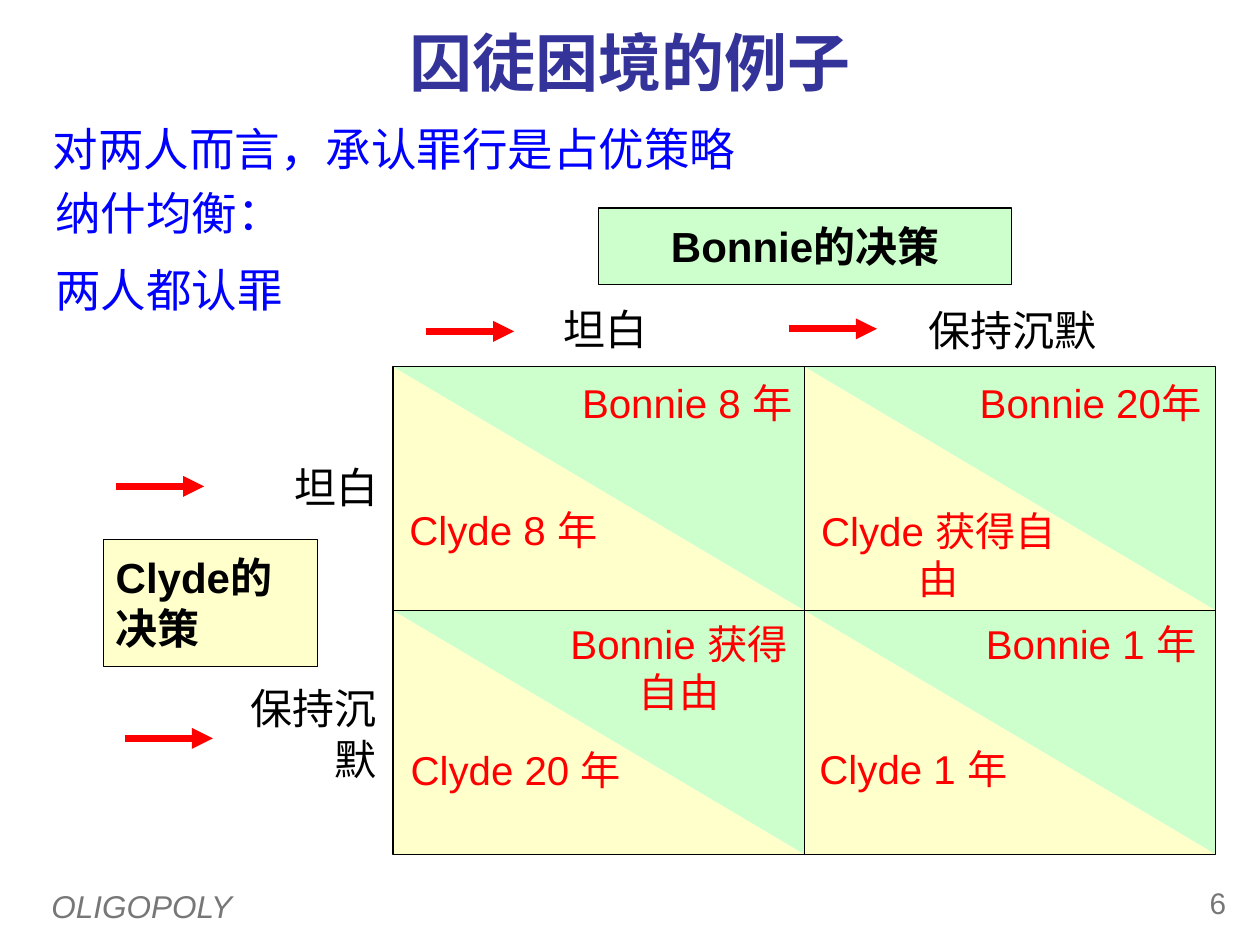
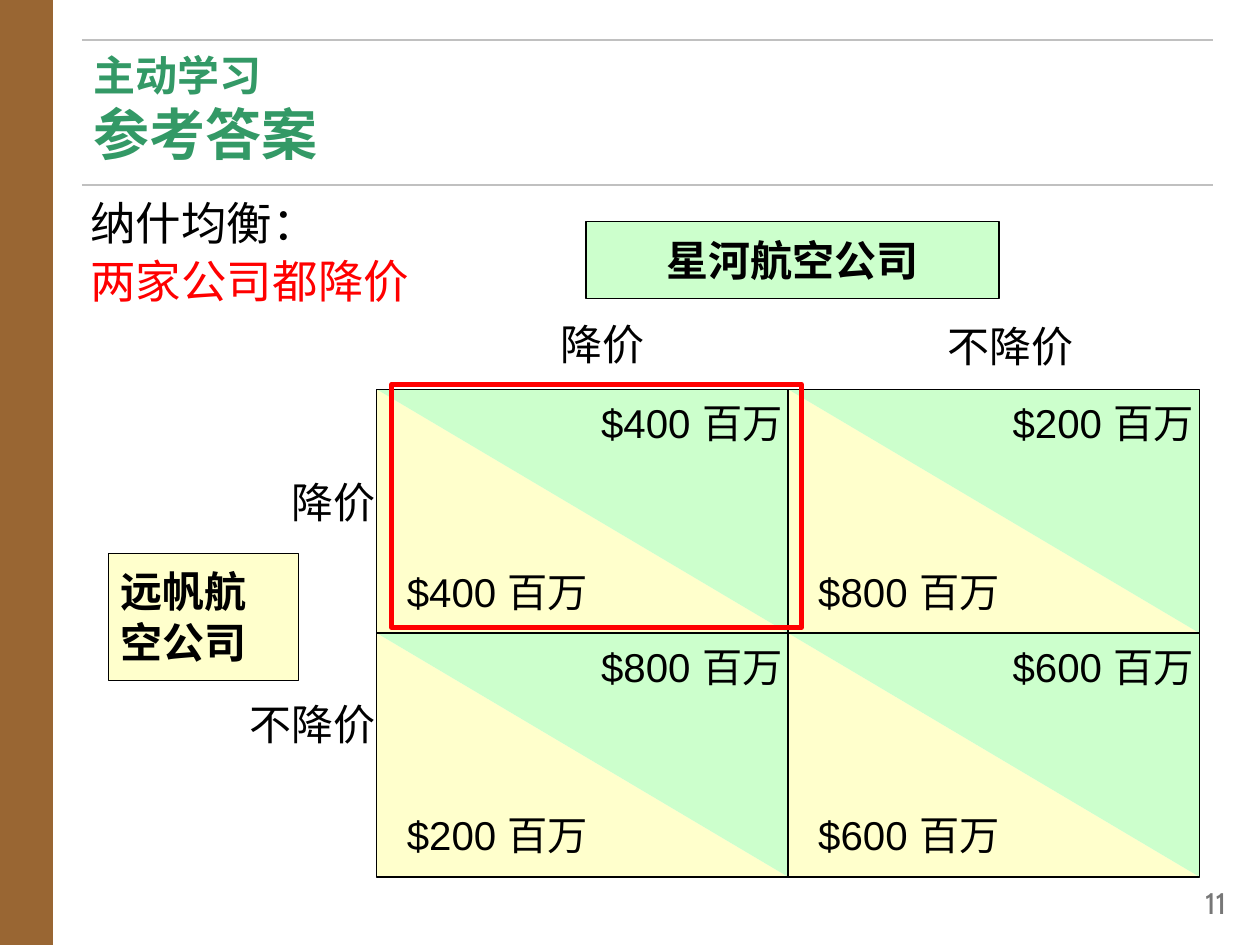
from dataclasses import dataclass
from itertools import product

from lxml.etree import SubElement
from pptx import Presentation
from pptx.dml.color import RGBColor
from pptx.enum.shapes import MSO_CONNECTOR as Connector, MSO_SHAPE as Shape
from pptx.enum.text import MSO_ANCHOR as Anchor, PP_ALIGN as Align
from pptx.oxml.ns import qn
from pptx.util import Inches, Pt

SLIDE_WIDTH, SLIDE_HEIGHT = Inches(10), Inches(7.5)
COLUMN, ROW = SLIDE_WIDTH / 100, SLIDE_HEIGHT / 75


@dataclass(frozen=True)
class Theme:
    """Colours, fonts and type sizes of the deck."""
    navy: str = "333399"
    blue: str = "0000FF"
    red: str = "FF0000"
    black: str = "000000"
    green: str = "339966"
    brown: str = "996633"
    rule: str = "C0C0C0"
    footer: str = "777777"
    column_player: str = "CCFFCC"
    row_player: str = "FFFFCC"
    body_font: str = "Arial"
    title_font: str = "Cambria"
    activity_font: str = "Cabin"
    title: int = 36
    answer: int = 32
    body: int = 26
    label: int = 24
    payoff: int = 23
    running: int = 18
    number: int = 17


THEME = Theme()


@dataclass(frozen=True)
class Box:
    """A rectangle in grid columns and rows."""
    left: float
    top: float
    width: float
    height: float

    def inside(self, left, top, width, height):
        """Return a box whose corner is measured from this one."""
        return Box(self.left + left, self.top + top, width, height)

    def emu(self):
        """Return the rectangle in slide units."""
        return (round(self.left * COLUMN), round(self.top * ROW),
                round(self.width * COLUMN), round(self.height * ROW))


def style(font, size, colour, name=THEME.body_font, bold=False, italic=False):
    """Format one font."""
    font.size, font.name, font.bold, font.italic = Pt(size), name, bold, italic
    font.color.rgb = RGBColor.from_string(colour)


def write(shape, text, size, colour, align=Align.LEFT, anchor=Anchor.TOP,
          insets=(0.1, 0.05), **font):
    """Set and format the text of a shape and return its paragraphs."""
    frame = shape.text_frame
    frame.text = text
    frame.word_wrap, frame.vertical_anchor = True, anchor
    frame.margin_left = frame.margin_right = Inches(insets[0])
    frame.margin_top = frame.margin_bottom = Inches(insets[1])
    for para in frame.paragraphs:
        para.alignment = align
        for span in para.runs:
            style(span.font, size, colour, **font)
    return frame.paragraphs


def add_text(page, box, *args, **options):
    """Place a text box and return its paragraphs."""
    return write(page.shapes.add_textbox(*box.emu()), *args, **options)


def add_shape(page, box, kind=Shape.RECTANGLE, fill=None, line=None, weight=0.75):
    """Place a flat preset shape."""
    shape = page.shapes.add_shape(kind, *box.emu())
    shape.shadow.inherit = False
    if fill:
        shape.fill.solid()
        shape.fill.fore_color.rgb = RGBColor.from_string(fill)
    else:
        shape.fill.background()
    if line:
        shape.line.color.rgb = RGBColor.from_string(line)
        shape.line.width = Pt(weight)
    else:
        shape.line.fill.background()
    return shape


def add_line(page, box, colour, weight, arrow=False):
    """Draw a straight line along a box, with an arrowhead if asked."""
    left, top, width, height = box.emu()
    line = page.shapes.add_connector(
        Connector.STRAIGHT, left, top, left + width, top + height)
    line.line.color.rgb = RGBColor.from_string(colour)
    line.line.width = Pt(weight)
    properties = line.element.spPr
    if arrow:
        SubElement(properties.find(qn("a:ln")), qn("a:tailEnd"), type="triangle")
    SubElement(properties, qn("a:effectLst"))


def page_number(page, number, font):
    """Write the page number in the lower right corner."""
    add_text(page, Box(90.8, 69.7, 7.5, 4), number, THEME.number, THEME.footer,
             Align.RIGHT, name=font)


def payoff_matrix(page, frame, payoffs, colour):
    """Draw the two-by-two matrix and its payoffs, row by row."""
    width, height = frame.width / 2, frame.height / 2
    cells = [frame.inside(column * width, row * height, width, height)
             for row, column in product(range(2), repeat=2)]
    for cell in cells:
        add_shape(page, cell, Shape.RIGHT_TRIANGLE, THEME.row_player)
        add_shape(page, cell, Shape.RIGHT_TRIANGLE, THEME.column_player).rotation = 180
    add_shape(page, frame, line=THEME.black)
    add_line(page, frame.inside(0, height, frame.width, 0), THEME.black, 0.75)
    add_line(page, frame.inside(width, 0, 0, frame.height), THEME.black, 0.75)
    for cell, entries in zip(cells, payoffs):
        for text, left, top, span, align in entries:
            add_text(page, cell.inside(left, top, span, 4.8), text,
                     THEME.payoff, colour, align)


def player_boxes(page, column_player, row_player):
    """Name the player of the columns and the player of the rows."""
    for (text, box), fill, align in (
            (column_player, THEME.column_player, Align.CENTER),
            (row_player, THEME.row_player, Align.LEFT)):
        write(add_shape(page, box, fill=fill, line=THEME.black), text, THEME.label,
              THEME.black, align, insets=(0.1, 0.1), bold=True)


def choice_labels(page, choices, column_boxes, row_boxes):
    """Label both choices above the columns and beside the rows."""
    for boxes, align in ((column_boxes, Align.CENTER), (row_boxes, Align.RIGHT)):
        for text, box in zip(choices, boxes):
            add_text(page, box, text, THEME.label, THEME.black, align, insets=(0, 0))


def dilemma_header(page):
    """Write the title, the statement and the equilibrium."""
    add_text(page, Box(5, 1.3, 90, 7.1), "囚徒困境的例子", THEME.title, THEME.navy,
             Align.CENTER, Anchor.MIDDLE, name=THEME.title_font, bold=True)
    add_text(page, Box(3.2, 9.1, 90.4, 6.2), "对两人而言，承认罪行是占优策略",
             THEME.body, THEME.blue)
    equilibrium = add_text(page, Box(3.4, 14.2, 39, 10), "纳什均衡：\n两人都认罪",
                           THEME.body, THEME.blue)
    equilibrium[1].space_before = Pt(THEME.body / 2)


def dilemma_slide(page):
    """Build the prisoners' dilemma."""
    add_text(page, Box(3.1, 69.9, 80.2, 4), "OLIGOPOLY", THEME.running, THEME.footer,
             anchor=Anchor.MIDDLE, italic=True)
    page_number(page, "6", THEME.body_font)
    dilemma_header(page)
    frame = Box(31.2, 29.1, 65.3, 38.7)
    left, center, right = Align.LEFT, Align.CENTER, Align.RIGHT
    payoff_matrix(page, frame, (
        (("Bonnie 8 年", 13.6, 0.4, 19.1, right), ("Clyde 8 年", 0.3, 10.5, 20.9, left)),
        (("Bonnie 20年", 11.6, 0.4, 20.9, right),
         ("Clyde 获得自由", 0.2, 10.6, 20.9, center)),
        (("Bonnie 获得自由", 12.8, 0.2, 19.8, center),
         ("Clyde 20 年", 0.4, 10.2, 22.9, left)),
        (("Bonnie 1 年", 13, 0.2, 19.1, right), ("Clyde 1 年", 0.2, 10.1, 20.9, left)),
    ), THEME.red)
    choice_labels(page, ("坦白", "保持沉默"),
                  (frame.inside(3.1, -5, 27.5, 4), frame.inside(35.2, -4.9, 27.9, 4)),
                  (frame.inside(-15.1, 7.5, 13.9, 4), frame.inside(-13.9, 25.1, 12.6, 8)))
    player_boxes(page, ("Bonnie的决策", frame.inside(16.3, -12.6, 32.8, 6.1)),
                 ("Clyde的决策", frame.inside(-23, 13.7, 17, 10.1)))
    for column, row in ((-22, 9.5), (-21.3, 29.5), (2.6, -2.8), (31.4, -3)):
        add_line(page, frame.inside(column, row, 7, 0), THEME.red, 4, arrow=True)


def activity_header(page):
    """Draw the side band, the ruled title and the equilibrium."""
    add_shape(page, Box(0, 0, 4.2, 75), fill=THEME.brown)
    title = add_text(page, Box(6.4, 3.9, 89.8, 10.4), "主动学习\v参考答案", THEME.label,
                     THEME.green, insets=(0.1, 0), name=THEME.activity_font, bold=True)
    style(title[0].runs[1].font, THEME.answer, THEME.green, THEME.title_font, bold=True)
    for row in (3.2, 14.7):
        add_line(page, Box(6.5, row, 89.8, 0), THEME.rule, 1)
    equilibrium = add_text(page, Box(6.2, 14.8, 35.4, 11.2), "纳什均衡：\v两家公司都降价",
                           THEME.body, THEME.black)
    equilibrium[0].line_spacing = 1.05
    style(equilibrium[0].runs[1].font, THEME.body, THEME.red)


def activity_slide(page):
    """Build the answer to the airline price game."""
    activity_header(page)
    page_number(page, "11", THEME.activity_font)
    frame = Box(29.9, 30.9, 65.3, 38.7)
    profits = ((400, 400), (200, 800), (800, 200), (600, 600))
    payoff_matrix(page, frame, [
        ((f"${upper} 百万", 14.1, 0.2, 19.1, Align.RIGHT),
         (f"${lower} 百万", 1.4, 13.6, 20.9, Align.LEFT))
        for upper, lower in profits], THEME.black)
    choice_labels(page, ("降价", "不降价"),
                  (frame.inside(4.2, -5.6, 27.5, 4), frame.inside(36.4, -5.5, 27.8, 4)),
                  (frame.inside(-21.4, 6.9, 21.3, 4), frame.inside(-16.7, 24.5, 16.6, 4)))
    player_boxes(page, ("星河航空公司", frame.inside(16.6, -13.3, 32.8, 6.1)),
                 ("远帆航空公司", frame.inside(-21.3, 13, 15.1, 10.1)))
    add_shape(page, frame.inside(1.2, -0.4, 32.5, 19.3), line=THEME.red, weight=3)


def main():
    """Build and save the deck."""
    deck = Presentation()
    deck.slide_width, deck.slide_height = SLIDE_WIDTH, SLIDE_HEIGHT
    for build in (dilemma_slide, activity_slide):
        build(deck.slides.add_slide(deck.slide_layouts[6]))
    deck.save("out.pptx")


if __name__ == "__main__":
    main()
